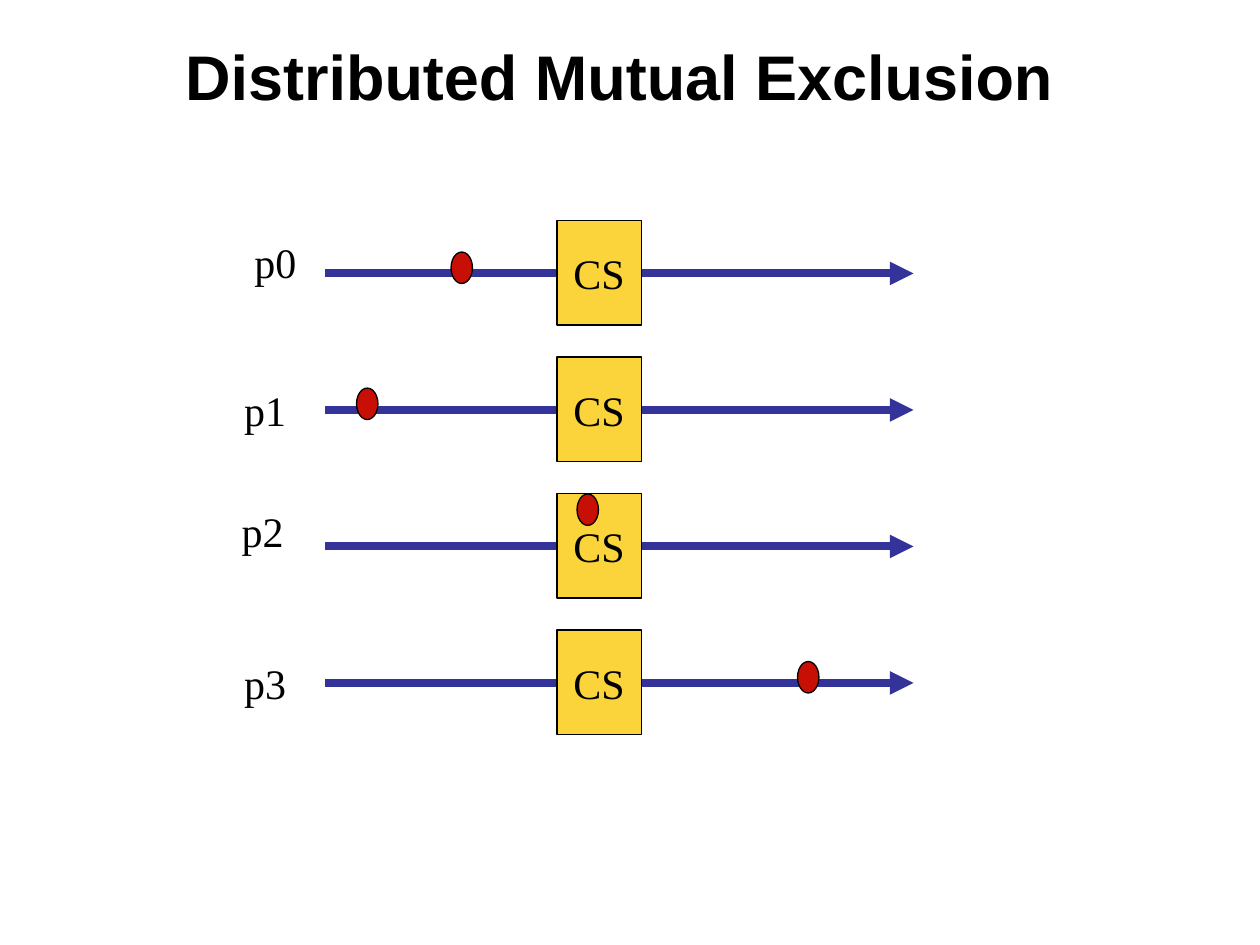
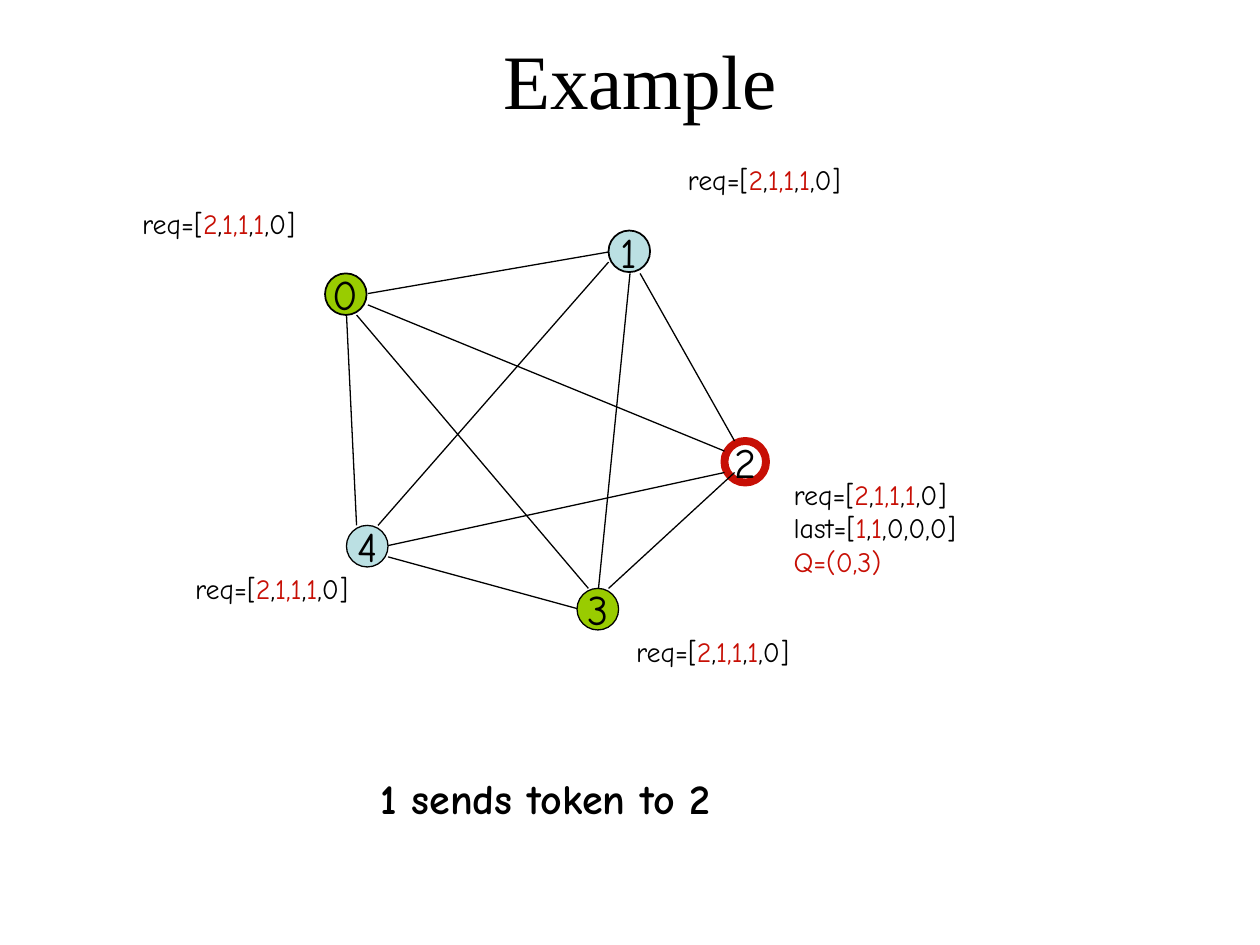
from pptx import Presentation, util as u
from pptx.dml.color import RGBColor
from pptx.enum import shapes, text
from pptx.oxml.ns import qn
from lxml import etree

INK = {"black": "000000", "red": "C70F05", "gold": "FAD43A",
       "navy": "333399", "green": "99CC00", "pale": "BBE0E3"}
SERIF, SANS, COMIC = "Times New Roman", "Arial", "Comic Neue"
LEFT, MID = text.PP_ALIGN.LEFT, text.PP_ALIGN.CENTER
TOP, HALF = text.MSO_ANCHOR.TOP, text.MSO_ANCHOR.MIDDLE
RECT, OVAL = shapes.MSO_SHAPE.RECTANGLE, shapes.MSO_SHAPE.OVAL


def hue(name):
    return RGBColor.from_string(INK[name])


class Deck:
    def __init__(self):
        self.show = Presentation()
        self.show.slide_width = u.Inches(10)
        self.show.slide_height = u.Inches(7.5)

    def page(self):
        self.slide = self.show.slides.add_slide(self.show.slide_layouts[5])

    def fill_text(self, item, lines, size, font, bold=False, align=LEFT,
                  anchor=TOP, wrap=False):
        frame = item.text_frame
        frame.word_wrap = wrap
        frame.auto_size = text.MSO_AUTO_SIZE.NONE
        frame.vertical_anchor = anchor
        for n, line in enumerate(lines):
            para = frame.add_paragraph() if n else frame.paragraphs[0]
            para.alignment = align
            for k, part in enumerate(line.split("*")):
                if part:
                    run = para.add_run()
                    run.text = part
                    run.font.size = u.Pt(size)
                    run.font.name = font
                    run.font.bold = bold
                    run.font.color.rgb = hue("red" if k % 2 else "black")

    def title(self, words, box, size, font, **look):
        item = self.slide.shapes.title
        item.left, item.top, item.width, item.height = map(u.Inches, box)
        self.fill_text(item, [words], size, font, **look)

    def label(self, lines, box, size, font, **look):
        item = self.slide.shapes.add_textbox(*map(u.Inches, box))
        self.fill_text(item, lines, size, font, **look)

    def shape(self, kind, box, fill, line="black", width=0.75, words="", font=SERIF):
        item = self.slide.shapes.add_shape(kind, *map(u.Inches, box))
        item.shadow.inherit = False
        if fill:
            item.fill.solid()
            item.fill.fore_color.rgb = hue(fill)
        else:
            item.fill.background()
        item.line.color.rgb = hue(line)
        item.line.width = u.Pt(width)
        if words:
            self.fill_text(item, [words], 24, font, align=MID, anchor=HALF)

    def line(self, start, end, color="black", width=0.75, arrow=False):
        item = self.slide.shapes.add_connector(
            shapes.MSO_CONNECTOR.STRAIGHT, *map(u.Inches, (*start, *end)))
        item.line.color.rgb = hue(color)
        item.line.width = u.Pt(width)
        props = item.element.spPr
        if arrow:
            etree.SubElement(props.find(qn("a:ln")), qn("a:tailEnd"), type="triangle")
        etree.SubElement(props, qn("a:effectLst"))


deck = Deck()

deck.page()
deck.title("Distributed Mutual Exclusion", (1.37, 0.25, 7.09, 0.7), 36, SANS, bold=True)
STEP = 13 / 12
for row in range(4):
    y = 1.75 + row * STEP
    deck.line((2.58, y + 0.42), (7.25, y + 0.42), "navy", 4.5, arrow=True)
    deck.shape(RECT, (4.42, y, 0.67, 0.83), "gold", words="CS")
for x, y in [(3.58, 2), (2.83, 3.08), (4.58, 3.92), (6.33, 5.25)]:
    deck.shape(OVAL, (x, y, 0.17, 0.25), "red")
for n, (x, y) in enumerate([(1.92, 1.83), (1.84, 3), (1.82, 3.96), (1.84, 5.17)]):
    deck.label([f"p{n}"], (x, y, 0.53, 0.5), 24, SERIF)

deck.page()
deck.title("Example", (0.83, 0, 8.5, 1.25), 44, SERIF, align=MID, anchor=HALF, wrap=True)
nodes = [(2.58, 2.17, "green", "black", 1), (4.83, 1.83, "pale", "black", 1),
         (5.75, 3.5, None, "red", 4.5), (4.58, 4.67, "green", "black", 0.75),
         (2.75, 4.17, "pale", "black", 0.75)]
for n, (x, y, fill, line, width) in enumerate(nodes):
    deck.shape(OVAL, (x, y, 0.33, 0.33), fill, line, width, str(n), COMIC)

edges = [((2.92, 2.33), (4.83, 2)), ((5.08, 2.17), (5.83, 3.5)),
         ((5.83, 3.75), (4.83, 4.67)), ((4.58, 4.83), (3.08, 4.42)),
         ((2.83, 4.17), (2.75, 2.5)), ((2.92, 2.42), (5.75, 3.58)),
         ((2.83, 2.5), (4.67, 4.67)), ((5, 2.17), (4.75, 4.67)),
         ((4.83, 2.08), (3, 4.17)), ((5.75, 3.75), (3.08, 4.33))]
for start, end in edges:
    deck.line(start, end)

REQ = "req=[*2*,*1,1*,*1*,0]"
for x, y in [(1.03, 1.59), (5.36, 1.24), (4.95, 4.99), (1.45, 4.49)]:
    deck.label([REQ], (x, y, 1.41, 0.37), 16, COMIC)
deck.label([REQ, "last=[*1*,*1*,0,0,0]", "*Q=(0,3)*"], (6.2, 3.74, 1.49, 1.17), 16, COMIC)
deck.label(["1 sends token to 2"], (2.92, 6.08, 4.17, 0.5), 24, COMIC, bold=True, wrap=True)

deck.show.save("out.pptx")
